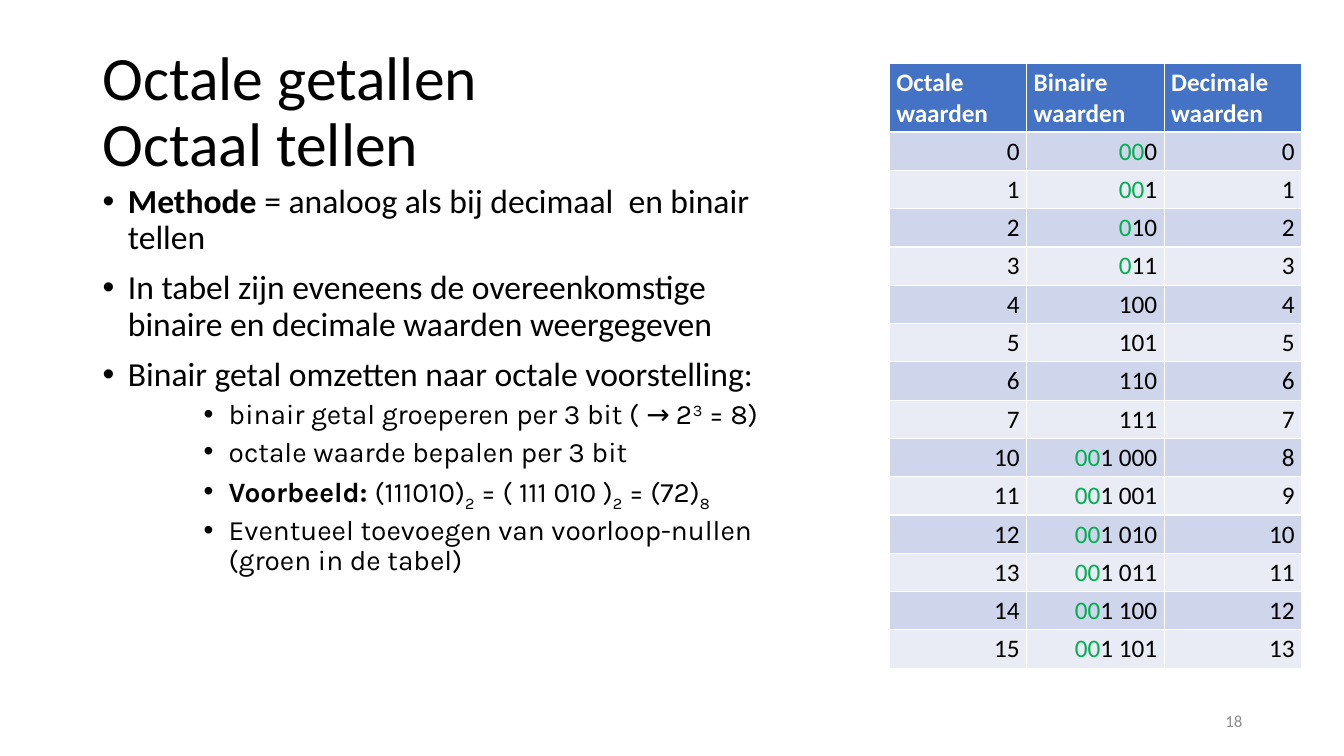
from dataclasses import dataclass

from lxml.etree import SubElement
from pptx import Presentation
from pptx.dml.color import RGBColor
from pptx.enum.text import MSO_ANCHOR, PP_ALIGN
from pptx.oxml.ns import qn
from pptx.util import Inches, Pt

BLACK, WHITE, GREEN, GREY = "000000", "FFFFFF", "00B050", "8C8C8C"
HEAD, BANDS = "4472C4", ("CFD5EA", "E9EBF5")
COUNT = 14


@dataclass(frozen=True)
class Run:
    text: str
    bold: bool = False
    base: int = 0
    color: str = BLACK


@dataclass(frozen=True)
class Style:
    size: float
    font: str = "Calibri"
    level: int = 0
    indent: float = 0
    before: float = 0
    line: float = 1.0
    align: PP_ALIGN = PP_ALIGN.LEFT


TITLE = Style(44, line=0.9)
POINT = Style(24, indent=0.25, before=10, line=0.9)
SUB = Style(20, "Karla", 2, 1.25, 5, 0.9)
LABEL = Style(18)
VALUE = Style(18, align=PP_ALIGN.RIGHT)
NUMBER = Style(12, align=PP_ALIGN.RIGHT)

BODY = [
    (POINT, [Run("Methode ", bold=True),
             Run("= analoog als bij decimaal  en binair tellen")]),
    (POINT, [Run("In tabel zijn eveneens de overeenkomstige binaire en "
                 "decimale waarden weergegeven")]),
    (POINT, [Run("Binair getal omzetten naar octale voorstelling:")]),
    (SUB, [Run("binair getal groeperen per 3 bit ( → 2"),
           Run("3", base=30), Run(" = 8)")]),
    (SUB, [Run("octale waarde bepalen per 3 bit")]),
    (SUB, [Run("Voorbeeld: ", bold=True),
           Run("(111010)"), Run("2", base=-25),
           Run(" = ( 111 010 )"), Run("2", base=-25),
           Run(" = (72)"), Run("8", base=-25)]),
    (SUB, [Run("Eventueel toevoegen van voorloop-nullen (groen in de tabel)")]),
]


def paint(code: str) -> RGBColor:
    return RGBColor.from_string(code)


def apply(target, values: dict) -> None:
    for name, value in values.items():
        setattr(target, name, value)


def bullet(par, indent: float) -> None:
    props = par._p.get_or_add_pPr()
    props.set("marL", str(Inches(indent)))
    props.set("indent", str(Inches(-0.25)))
    SubElement(props, qn("a:buFont")).set("typeface", "Arial")
    SubElement(props, qn("a:buChar")).set("char", "•")


def write(par, style: Style, runs: list[Run]) -> None:
    apply(par, {"level": style.level, "alignment": style.align,
                "line_spacing": style.line, "space_before": Pt(style.before)})
    if style.indent:
        bullet(par, style.indent)
    for item in runs:
        if item.text == "\n":
            par.add_line_break()
            continue
        run = par.add_run()
        run.text = item.text
        apply(run.font, {"name": style.font, "size": Pt(style.size),
                         "bold": item.bold})
        run.font.color.rgb = paint(item.color)
        if item.base:
            run._r.get_or_add_rPr().set("baseline", str(item.base * 1000))


def add_text(slide, box: tuple, pars: list, anchor: MSO_ANCHOR) -> None:
    frame = slide.shapes.add_textbox(*map(Inches, box)).text_frame
    apply(frame, {"word_wrap": True, "vertical_anchor": anchor})
    for i, (style, runs) in enumerate(pars):
        par = frame.add_paragraph() if i else frame.paragraphs[0]
        write(par, style, runs)


def binary(num: int) -> list[Run]:
    """Group the bits by three, with the leading zeros in green."""
    width = 3 * len(f"{num:o}")
    bits = f"{num:0{width}b}"
    lead = width - len(f"{num:b}")
    text = " ".join(bits[i:i + 3] for i in range(0, width, 3))
    zeros = [Run(text[:lead], color=GREEN)] if lead else []
    return zeros + [Run(text[lead:])]


def fill_cell(cell, color: str, style: Style, runs: list[Run]) -> None:
    apply(cell, {"margin_left": Inches(0.07), "margin_right": Inches(0.07),
                 "margin_top": Inches(0.04), "margin_bottom": Inches(0.04)})
    cell.fill.solid()
    cell.fill.fore_color.rgb = paint(color)
    write(cell.text_frame.paragraphs[0], style, runs)


def add_values(slide) -> None:
    box = map(Inches, (8.82, 0.63, 4.09, 5.92))
    table = slide.shapes.add_table(COUNT + 1, 3, *box).table
    for i, row in enumerate(table.rows):
        row.height = Inches(0.37 if i else 0.63)
    for col, name in enumerate(("Octale", "Binaire", "Decimale")):
        label = Run(f"{name} waarden", bold=True, color=WHITE)
        fill_cell(table.cell(0, col), HEAD, LABEL, [label])
    for num in range(COUNT):
        texts = [Run(f"{num:o}")], binary(num), [Run(str(num))]
        for col, runs in enumerate(texts):
            fill_cell(table.cell(num + 1, col), BANDS[num % 2], VALUE, runs)


def main() -> None:
    deck = Presentation()
    apply(deck, {"slide_width": Inches(13.33), "slide_height": Inches(7.5)})
    slide = deck.slides.add_slide(deck.slide_layouts[6])
    title = [Run("Octale getallen"), Run("\n"), Run("Octaal tellen")]
    add_text(slide, (0.92, 0.4, 11.5, 1.45), [(TITLE, title)],
             MSO_ANCHOR.MIDDLE)
    add_text(slide, (0.92, 1.78, 6.99, 5.13), BODY, MSO_ANCHOR.TOP)
    add_values(slide)
    add_text(slide, (9.42, 6.95, 3, 0.4),
             [(NUMBER, [Run("18", color=GREY)])], MSO_ANCHOR.MIDDLE)
    deck.save("out.pptx")


if __name__ == "__main__":
    main()
